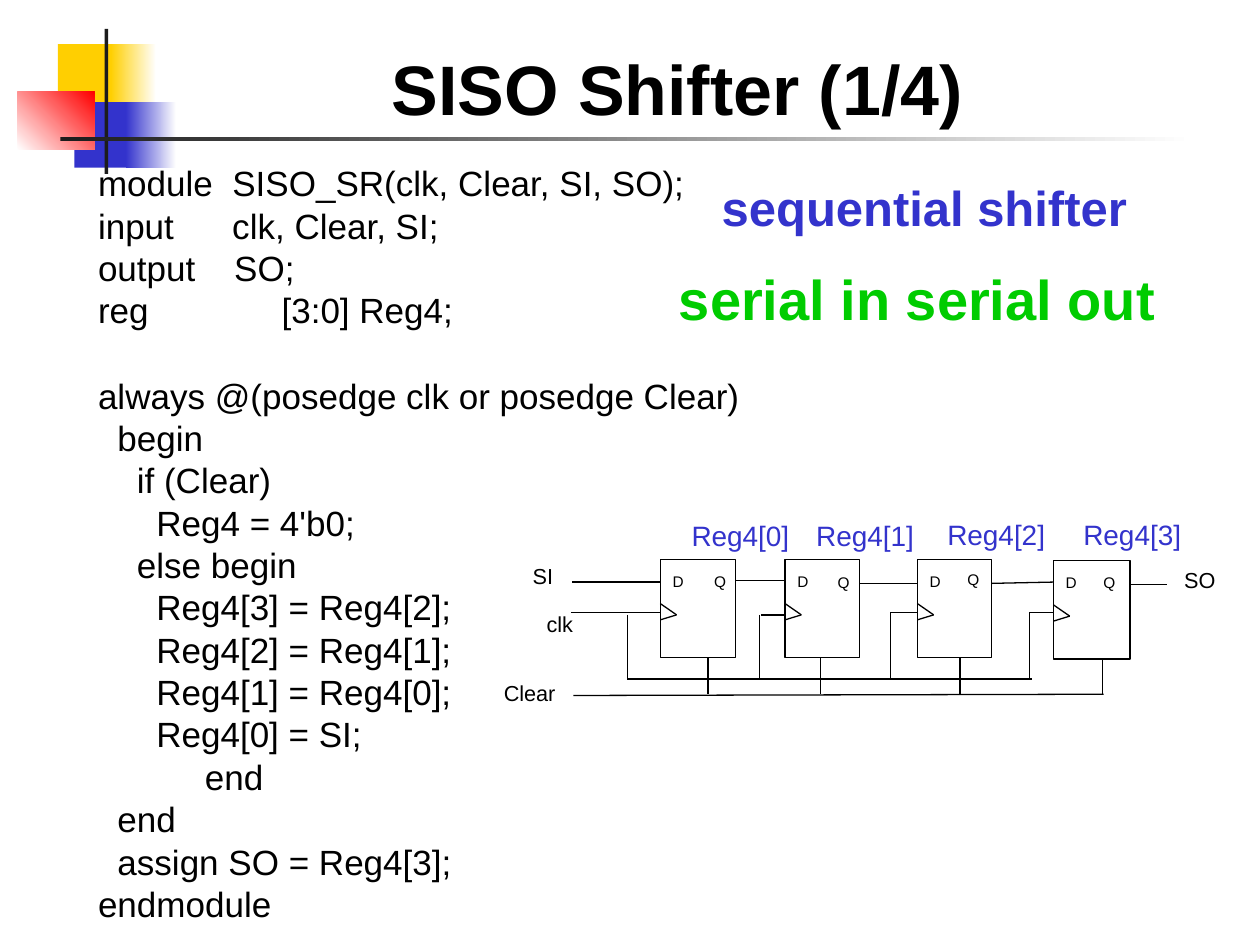
from collections import namedtuple

from lxml import etree
from pptx import Presentation
from pptx import util as u
from pptx.dml.color import RGBColor
from pptx.enum import shapes, text
from pptx.oxml import ns

COLUMNS, ROWS = 100, 75
CELL = u.Inches(10) // COLUMNS
FONT = "Arial"

BLACK = RGBColor(0x00, 0x00, 0x00)
WHITE = RGBColor(0xFF, 0xFF, 0xFF)
CHARCOAL = RGBColor(0x1C, 0x1C, 0x1C)
YELLOW = RGBColor(0xFF, 0xCF, 0x01)
BLUE = RGBColor(0x33, 0x33, 0xCC)
RED = RGBColor(0xFF, 0x00, 0x00)
GREEN = RGBColor(0x00, 0xCC, 0x00)

CODE = """module  SISO_SR(clk, Clear, SI, SO);
input      clk, Clear, SI;
output    SO;
reg\t [3:0] Reg4;

always @(posedge clk or posedge Clear)
  begin
    if (Clear)
      Reg4 = 4'b0;
    else begin
      Reg4[3] = Reg4[2];
      Reg4[2] = Reg4[1];
      Reg4[1] = Reg4[0];
      Reg4[0] = SI;
           end
  end
  assign SO = Reg4[3];
endmodule"""


class Box(namedtuple("Box", "left top width height")):
    def inside(self, left, top, width, height):
        return Box(self.left + left, self.top + top, width, height)

    def lengths(self):
        return [u.Emu(round(value * CELL)) for value in self]


Stage = namedtuple("Stage", "left top width q_left q_top name_left name_top clear")
STAGES = [
    Stage(13.4, 3.8, 6.0, 3.3, 0.5, 14.9, 0.1, 17.2),
    Stage(23.3, 3.8, 5.9, 3.2, 0.6, 24.8, 0.1, 26.1),
    Stage(33.8, 3.8, 5.9, 3.0, 0.4, 35.2, 0, 37.2),
    Stage(44.6, 3.9, 6.1, 3.0, 0.5, 46.0, 0, 48.5),
]
WIRES = [
    (6.4, 5.6, 13.4, 5.6), (19.4, 5.5, 23.3, 5.5), (29.2, 5.7, 33.8, 5.7),
    (39.7, 5.7, 44.6, 5.6), (50.7, 5.8, 53.6, 5.8), (6.3, 8.0, 13.4, 8.0),
    (10.8, 8.2, 10.8, 13.3), (10.8, 13.3, 42.9, 13.3),
    (21.4, 8.2, 23.3, 8.2), (21.3, 8.2, 21.3, 13.3),
    (31.7, 8.0, 33.8, 8.0), (31.7, 8.0, 31.7, 13.2),
    (42.7, 8.0, 44.6, 8.0), (42.7, 8.0, 42.7, 13.2),
    (6.5, 14.6, 48.6, 14.5),
]
SIGNALS = [
    ("SI", 2.3, 3.6, 7.6), ("clk", 3.4, 7.4, 8.9),
    ("Clear", 0, 12.9, 8.3), ("SO", 54.0, 3.9, 7.0),
]


def style(paragraph, size, color, bold=False):
    for run in paragraph.runs:
        run.font.name = FONT
        run.font.size = u.Pt(size)
        run.font.color.rgb = color
        run.font.bold = bold


def add_label(slide, box, words, size, color=BLACK, bold=False):
    frame = slide.shapes.add_textbox(*box.lengths()).text_frame
    frame.text = words
    frame.word_wrap = True
    style(frame.paragraphs[0], size, color, bold)


def add_block(slide, box, color, fade_to=None, angle=0, outline=None):
    block = slide.shapes.add_shape(shapes.MSO_SHAPE.RECTANGLE, *box.lengths())
    block.shadow.inherit = False
    if fade_to is None:
        block.fill.solid()
        block.fill.fore_color.rgb = color
    else:
        block.fill.gradient()
        block.fill.gradient_angle = angle
        for stop, shade in zip(block.fill.gradient_stops, (color, fade_to)):
            stop.color.rgb = shade
    if outline is None:
        block.line.fill.background()
    else:
        block.line.color.rgb = outline
        block.line.width = u.Pt(0.75)


def add_wire(slide, box, x1, y1, x2, y2):
    start = box.inside(x1, y1, 0, 0).lengths()[:2]
    finish = box.inside(x2, y2, 0, 0).lengths()[:2]
    wire = slide.shapes.add_connector(shapes.MSO_CONNECTOR.STRAIGHT, *start, *finish)
    wire.line.color.rgb = BLACK
    wire.line.width = u.Pt(0.75)
    etree.SubElement(wire._element.spPr, ns.qn("a:effectLst"))


def add_ornament(slide, box):
    add_block(slide, box.inside(3.2, 1.2, 4.8, 5.2), YELLOW)
    add_block(slide, box.inside(7.4, 1.2, 3.6, 5.2), YELLOW, WHITE)
    add_block(slide, box.inside(4.5, 5.8, 4.6, 5.2), BLUE)
    add_block(slide, box.inside(8.6, 5.8, 4.0, 5.2), BLUE, WHITE)
    add_block(slide, box.inside(0, 5.0, 6.1, 4.6), WHITE, RED, angle=45)
    add_block(slide, box.inside(6.9, 0, 0.3, 11.5), CHARCOAL)
    add_block(slide, box.inside(3.4, 8.6, 90, 0.3), CHARCOAL, WHITE)


def set_title(slide, box, words):
    title = slide.shapes.title
    title.left, title.top, title.width, title.height = box.lengths()
    frame = title.text_frame
    frame.text = words
    frame.vertical_anchor = text.MSO_ANCHOR.BOTTOM
    frame.paragraphs[0].alignment = text.PP_ALIGN.LEFT
    style(frame.paragraphs[0], 40, BLACK, bold=True)


def add_tab_stops(paragraph):
    properties = paragraph._p.get_or_add_pPr()
    properties.set("marL", str(u.Inches(0.38)))
    properties.set("indent", str(-u.Inches(0.38)))
    properties.set("defTabSz", str(u.Inches(1)))
    stops = etree.SubElement(properties, ns.qn("a:tabLst"))
    for inch in range(8):
        etree.SubElement(stops, ns.qn("a:tab"), pos=str(u.Inches(inch)), algn="l")


def add_code(slide, box):
    frame = slide.shapes.add_textbox(*box.lengths()).text_frame
    frame.word_wrap = True
    for section_index, section in enumerate(CODE.split("\n\n")):
        for line_index, line in enumerate(section.split("\n")):
            first = section_index == line_index == 0
            paragraph = frame.paragraphs[0] if first else frame.add_paragraph()
            paragraph.text = line
            add_tab_stops(paragraph)
            paragraph.line_spacing = 0.8
            if not first:
                paragraph.space_before = u.Pt(5 if line_index else 29.4)
            style(paragraph, 20, BLACK)


def add_flip_flop(slide, box, q_left, q_top):
    add_block(slide, box, WHITE, outline=BLACK)
    add_wire(slide, box, 0, 3.5, 1.3, 4.4)
    add_wire(slide, box, 1.3, 4.4, 0, 4.8)
    add_label(slide, box.inside(0, 0.5, 2.6, 2.6), "D", 8.8)
    add_label(slide, box.inside(q_left, q_top, 2.6, 2.6), "Q", 8.8)


def add_shift_register(slide, box):
    for index, stage in enumerate(STAGES):
        cell = box.inside(stage.left, stage.top, stage.width, 7.8)
        add_flip_flop(slide, cell, stage.q_left, stage.q_top)
        add_wire(slide, box, stage.clear, stage.top + 7.8, stage.clear, 14.5)
        name_box = box.inside(stage.name_left, stage.name_top, 10.6, 3.7)
        add_label(slide, name_box, f"Reg4[{index}]", 16, BLUE)
    for wire in WIRES:
        add_wire(slide, box, *wire)
    for name, left, top, width in SIGNALS:
        add_label(slide, box.inside(left, top, width, 3), name, 12.4)


def add_captions(slide, box):
    add_label(slide, box.inside(3.4, 0, 37, 5.7), "sequential shifter", 28,
              BLUE, bold=True)
    add_label(slide, box.inside(0, 6.9, 43, 6.4), "serial in serial out", 32,
              GREEN, bold=True)


def main():
    deck = Presentation()
    deck.slide_width, deck.slide_height = COLUMNS * CELL, ROWS * CELL
    slide = deck.slides.add_slide(deck.slide_layouts[5])
    add_ornament(slide, Box(1.4, 2.3, 93.4, 11.5))
    set_title(slide, Box(30.1, 2.5, 69, 8.3), "SISO Shifter (1/4)")
    add_code(slide, Box(6.8, 13, 75.3, 61.1))
    add_shift_register(slide, Box(39, 40.6, 61, 15))
    add_captions(slide, Box(52.9, 13.6, 43, 13.3))
    deck.save("out.pptx")


if __name__ == "__main__":
    main()
